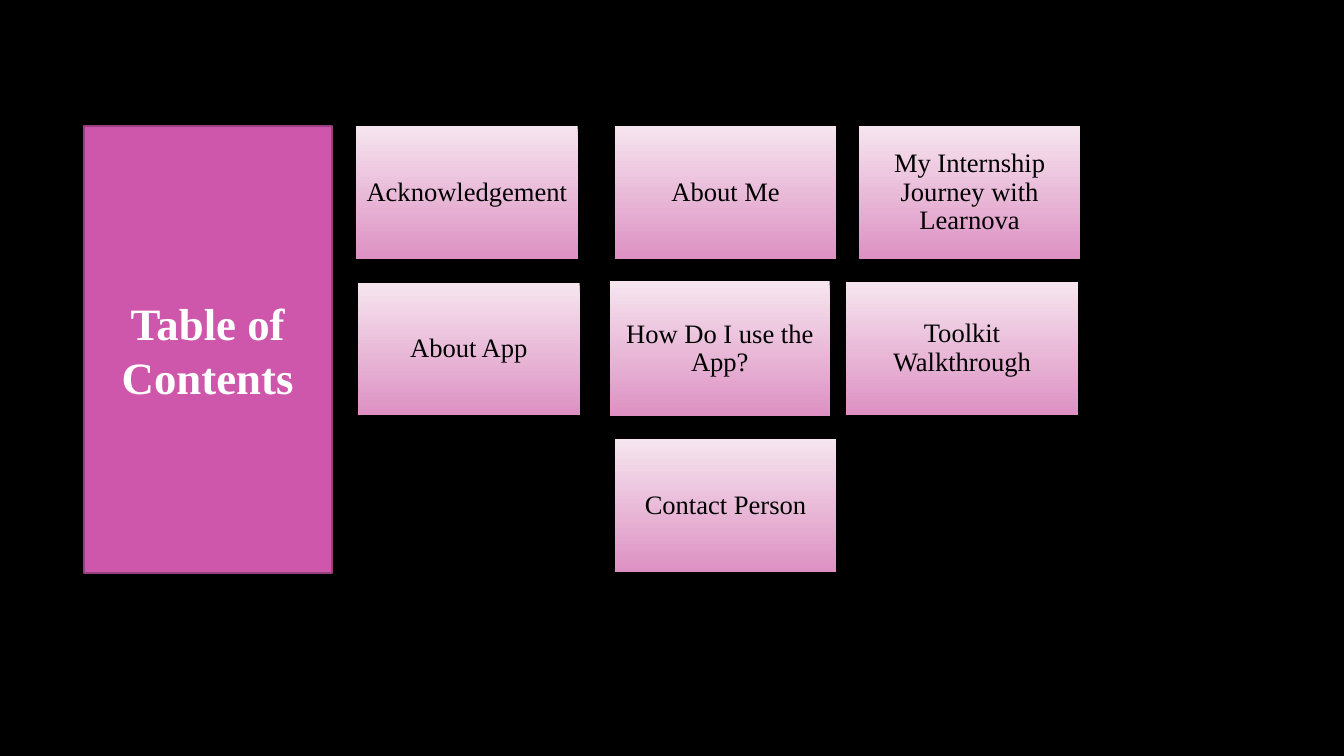
"""Builds a table of contents slide with a title panel and seven topic tiles."""
from pptx import Presentation
from pptx.dml.color import RGBColor
from pptx.enum.shapes import MSO_SHAPE
from pptx.enum.text import MSO_ANCHOR, PP_ALIGN
from pptx.util import Cm, Pt


def color(hex_value):
    return RGBColor.from_string(hex_value)


def add_box(kind, bounds, text, font_values):
    box = slide.shapes.add_shape(kind, *map(Cm, bounds))
    box.shadow.inherit = False
    frame = box.text_frame
    frame.word_wrap = True
    frame.vertical_anchor = MSO_ANCHOR.MIDDLE
    paragraph = frame.paragraphs[0]
    paragraph.alignment = PP_ALIGN.CENTER
    run = paragraph.add_run()
    run.text = text
    run.font.color.rgb = color(font_values["color"])
    for name in ("name", "size", "bold"):
        setattr(run.font, name, font_values[name])
    return box


prs = Presentation()
prs.slide_width, prs.slide_height = Cm(33.87), Cm(19.05)
slide = prs.slides.add_slide(prs.slide_layouts[6])
slide.background.fill.solid()
slide.background.fill.fore_color.rgb = color("000000")

FONT = "Times New Roman"
title_font = {"name": FONT, "size": Pt(32), "bold": True, "color": "FFFFFF"}
topic_font = {"name": FONT, "size": Pt(19), "bold": False, "color": "000000"}

title_panel = add_box(MSO_SHAPE.FLOWCHART_PROCESS, (2.11, 3.18, 6.25, 11.25),
                      "Table of Contents", title_font)
title_panel.fill.solid()
title_panel.fill.fore_color.rgb = color("CE57AB")
title_panel.line.color.rgb = color("98407F")
title_panel.line.width = Pt(1.5)

topics = [
    ("Acknowledgement", (8.97, 3.18, 5.59, 3.35)),
    ("About Me", (15.49, 3.18, 5.59, 3.35)),
    ("My Internship Journey with Learnova", (21.64, 3.18, 5.59, 3.35)),
    ("About App", (9.02, 7.14, 5.59, 3.33)),
    ("How Do I use the App?", (15.37, 7.09, 5.54, 3.4)),
    ("Toolkit Walkthrough", (21.31, 7.11, 5.87, 3.35)),
    ("Contact Person", (15.49, 11.07, 5.59, 3.35)),
]
tile_margins = dict.fromkeys(
    ("margin_left", "margin_top", "margin_right", "margin_bottom"), Cm(0.2))

for topic, bounds in topics:
    tile = add_box(MSO_SHAPE.RECTANGLE, bounds, topic, topic_font)
    tile.line.fill.background()
    tile.fill.gradient()
    tile.fill.gradient_angle = 270
    for stop, shade in zip(tile.fill.gradient_stops, ("F6E5EF", "DD91C3")):
        stop.color.rgb = color(shade)
    for name, value in tile_margins.items():
        setattr(tile.text_frame, name, value)
    tile.text_frame.paragraphs[0].line_spacing = 0.9

prs.save("out.pptx")
